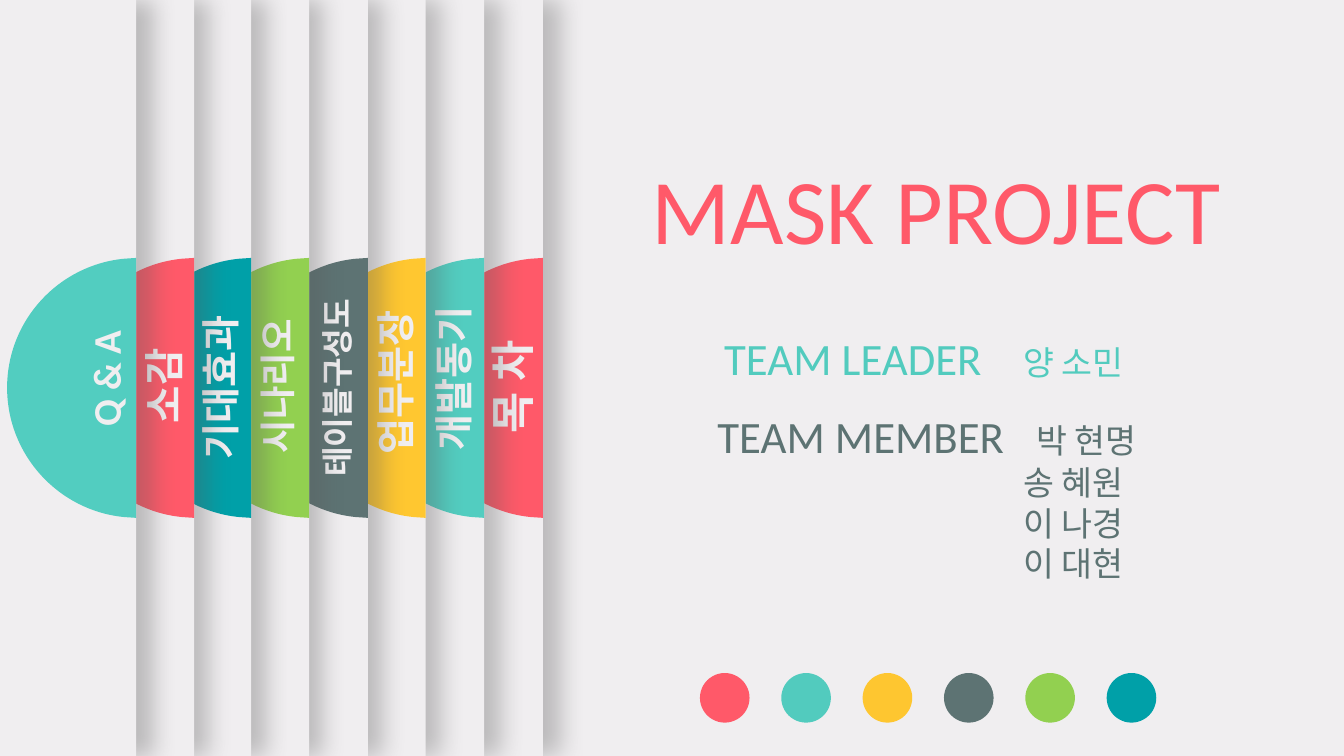
from lxml import etree
from pptx import Presentation
from pptx.dml.color import RGBColor
from pptx.enum.shapes import MSO_SHAPE as Shape
from pptx.enum.text import MSO_AUTO_SIZE as AutoSize, PP_ALIGN as Align
from pptx.oxml import parse_xml
from pptx.oxml.ns import nsdecls, qn
from pptx.util import Cm, Pt

COLORS = {
    "paper": "F0EEF0",
    "red": "FF5969",
    "mint": "52CBBE",
    "yellow": "FEC630",
    "slate": "5D7373",
    "green": "92D050",
    "teal": "00A0A8",
    "tab mint": "52CDC0",
    "tab yellow": "FFC730",
    "shadow": "595959",
}


def paint(shape, color):
    shape.shadow.inherit = False
    shape.fill.solid()
    shape.fill.fore_color.rgb = RGBColor.from_string(COLORS[color])
    shape.line.fill.background()


def add_text(shapes, box, lines, color, align=Align.CENTER, bold=None):
    """Each line is a list of (text, size) runs."""
    textbox = shapes.add_textbox(*(Cm(length) for length in box))
    frame = textbox.text_frame
    frame.word_wrap = True
    frame.auto_size = AutoSize.SHAPE_TO_FIT_TEXT
    for index, line in enumerate(lines):
        paragraph = frame.paragraphs[0] if index == 0 else frame.add_paragraph()
        paragraph.alignment = align
        for text, size in line:
            run = paragraph.add_run()
            run.text = text
            run.font.name = "Calibri"
            run.font.size = Pt(size)
            run.font.bold = bold
            run.font.color.rgb = RGBColor.from_string(COLORS[color])
    return textbox


presentation = Presentation()
presentation.slide_width = Cm(33.87)
presentation.slide_height = Cm(19.05)
slide = presentation.slides.add_slide(presentation.slide_layouts[6])
slide.background.fill.solid()
slide.background.fill.fore_color.rgb = RGBColor.from_string(COLORS["paper"])

# Title
add_text(slide.shapes, (13.49, 3.71, 20.22, 3.07), [[("MASK PROJECT", 66)]], "red")

# Row of colour dots
dots = slide.shapes.add_group_shape()
for index, color in enumerate(("red", "mint", "yellow", "slate", "green", "teal")):
    dot = dots.shapes.add_shape(
        Shape.OVAL, Cm(17.64 + 2.05 * index), Cm(16.96), Cm(1.25), Cm(1.25))
    paint(dot, color)

# Team: role at the left inset, names at a tab stop or indent
leader = add_text(
    slide.shapes, (13.18, 8.2, 20.22, 1.63),
    [[("TEAM LEADER\t", 32), ("양 소민", 24)]], "mint", Align.LEFT)
members = add_text(
    slide.shapes, (13.26, 10.17, 20.22, 4.7),
    [[("TEAM MEMBER\t", 32), ("박 현명", 24)],
     [("송 혜원", 24)], [("이 나경", 24)], [("이 대현", 24)]], "slate", Align.LEFT)
for textbox, inset, stop in ((leader, 5.07, 7.54), (members, 4.82, 8.04)):
    textbox.text_frame.margin_left = Cm(inset)
    properties = textbox.text_frame.paragraphs[0]._p.get_or_add_pPr()
    tabs = etree.SubElement(properties, qn("a:tabLst"))
    etree.SubElement(tabs, qn("a:tab"), pos=str(Cm(stop)), algn="l")
for paragraph in members.text_frame.paragraphs[1:]:
    paragraph._p.get_or_add_pPr().set("marL", str(Cm(7.71)))

# Index tabs, front page last:
# label, size, colour, page left, page right, label middle, label height
TABS = [
    ("목 차", 32, "red", -21.01, 13.68, 9.75, 1.63),
    ("개발동기", 28, "tab mint", -19.61, 12.2, 9.54, 1.45),
    ("업무분장", 28, "tab yellow", -16.94, 10.73, 9.64, 1.45),
    ("테이블구성도", 23, "slate", -17.32, 9.27, 9.77, 1.24),
    ("시나리오", 26, "green", -16.36, 7.79, 9.73, 1.42),
    ("기대효과", 28, "teal", -21.23, 6.33, 9.77, 1.45),
    ("소감", 29, "red", -19.25, 4.89, 9.72, 1.5),
    ("Q & A", 28, "tab mint", -28.37, 3.43, 9.54, 1.45),
]
DISC_TOP, DISC_WIDTH, DISC_HEIGHT, LABEL_WIDTH = 6.5, 3.25, 6.55, 5.54

# Half disc outline in hundredths of a centimetre
DISC_PATH = [
    ("moveTo", [(325, 0)]),
    ("lnTo", [(325, 655)]),
    ("lnTo", [(295, 653)]),
    ("cubicBezTo", [(130, 637), (0, 497), (0, 327)]),
    ("cubicBezTo", [(0, 157), (130, 18), (295, 2)]),
    ("close", []),
]

for label, size, color, left, edge, middle, height in TABS:
    tab = slide.shapes.add_group_shape()

    # Page with a soft shadow on its right edge
    page = tab.shapes.add_shape(
        Shape.RECTANGLE, Cm(left), 0, Cm(edge - left), presentation.slide_height)
    paint(page, "paper")
    page._element.spPr.find(qn("a:effectLst")).append(parse_xml(
        f'<a:outerShdw {nsdecls("a")} blurRad="{Pt(17)}" dist="{Pt(3)}" dir="0" '
        f'sx="101000" algn="l" rotWithShape="0"><a:srgbClr val="{COLORS["shadow"]}">'
        '<a:alpha val="35000"/></a:srgbClr></a:outerShdw>'))

    # Half disc: a box outline whose segments become curves
    right, bottom = Cm(edge), Cm(DISC_TOP + DISC_HEIGHT)
    disc_left = Cm(edge - DISC_WIDTH)
    builder = tab.shapes.build_freeform(right, Cm(DISC_TOP))
    builder.add_line_segments([(right, bottom), (disc_left, bottom)], close=True)
    disc = builder.convert_to_shape()
    paint(disc, color)
    outline = disc._element.spPr.find(".//" + qn("a:path"))
    for segment in list(outline):
        outline.remove(segment)
    outline.set("w", "325")
    outline.set("h", "655")
    for command, points in DISC_PATH:
        segment = etree.SubElement(outline, qn("a:" + command))
        for x, y in points:
            etree.SubElement(segment, qn("a:pt"), x=str(x), y=str(y))

    # Label reading upwards
    box = (edge - 0.77 - LABEL_WIDTH / 2, middle - height / 2, LABEL_WIDTH, height)
    add_text(tab.shapes, box, [[(label, size)]], "paper", bold=True).rotation = 270

presentation.save("out.pptx")
